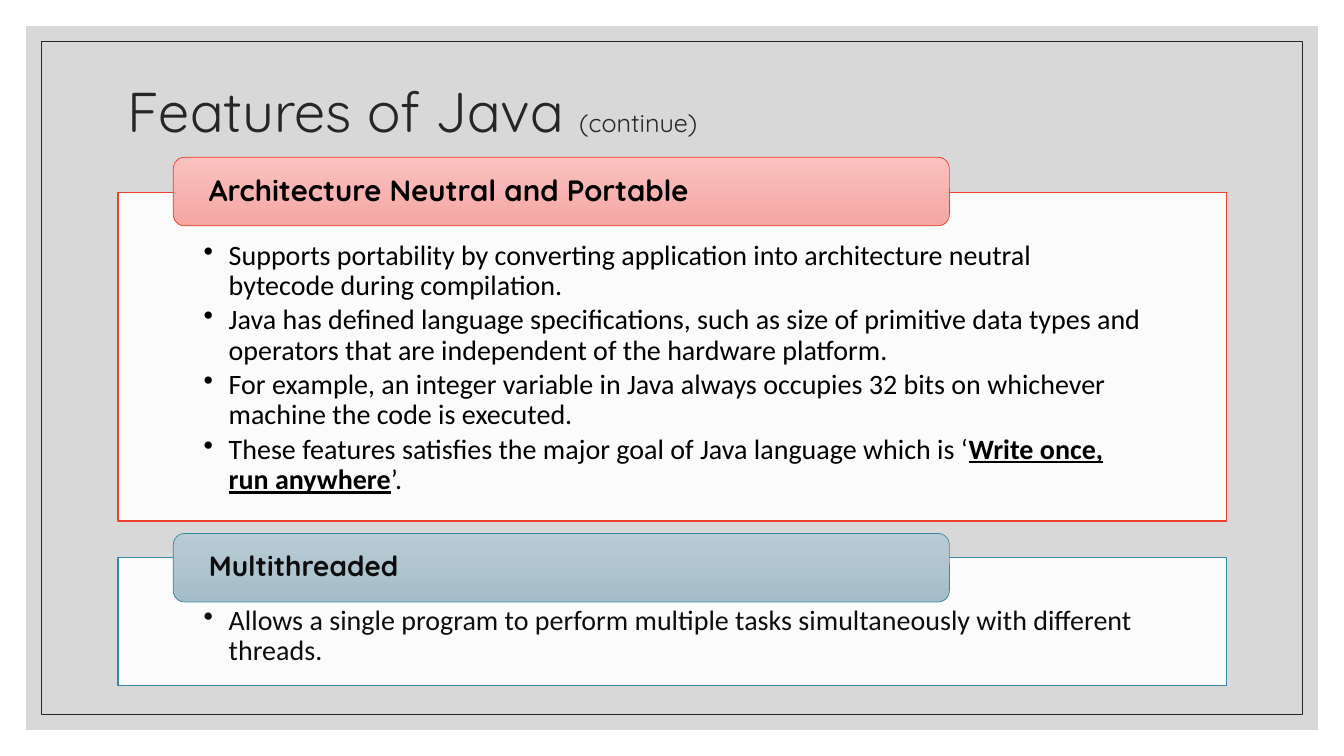
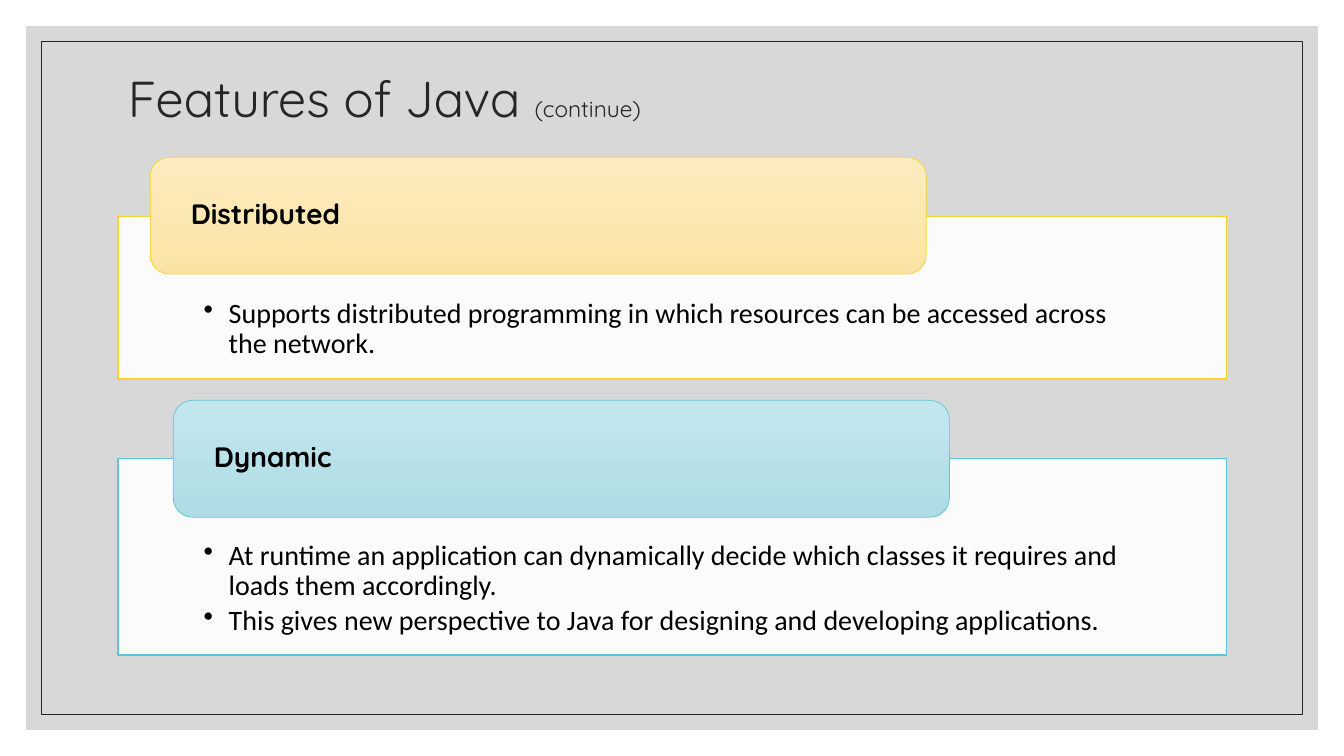
from lxml.etree import SubElement
from pptx import Presentation
from pptx.dml.color import RGBColor
from pptx.enum.shapes import MSO_SHAPE
from pptx.enum.text import MSO_ANCHOR, MSO_AUTO_SIZE, PP_ALIGN
from pptx.oxml.ns import qn
from pptx.util import Pt

BLACK = RGBColor(0x00, 0x00, 0x00)
NEAR_BLACK = RGBColor(0x0D, 0x0D, 0x0D)
DARK = RGBColor(0x26, 0x26, 0x26)
GRAY = RGBColor(0xBF, 0xBF, 0xBF)
WHITE = RGBColor(0xFF, 0xFF, 0xFF)
# line, gradient top, gradient bottom
RED = RGBColor(0xF0, 0x3F, 0x2B), RGBColor(0xFA, 0xC1, 0xBF), RGBColor(0xF5, 0xA7, 0xA4)
BLUE = RGBColor(0x34, 0x88, 0xA0), RGBColor(0xB9, 0xCC, 0xD5), RGBColor(0xA5, 0xBD, 0xC8)
YELLOW = RGBColor(0xF8, 0xD2, 0x2F), RGBColor(0xFD, 0xEC, 0xC0), RGBColor(0xFA, 0xE3, 0xA4)
TEAL = RGBColor(0x5C, 0xC6, 0xD6), RGBColor(0xC4, 0xE7, 0xEE), RGBColor(0xAD, 0xDC, 0xE5)

HEAD_FONT, BODY_FONT = "Quicksand", "Calibri"
WIDTH, HEIGHT = 960, 540
LEFT, PANEL_WIDTH = 84.2, 792
TAB_WIDTH, TAB_TOP = 554.4, 112.3

SLIDES = [
    {"title_size": 40, "small_size": 18, "title_height": 62.6,
     "tab_height": 49, "tab_inset": 23, "body_inset": 34.6,
     "features": [
         {"name": "Architecture Neutral and Portable", "name_size": 21,
          "colors": RED, "ink": BLACK, "tab": (123.8, TAB_TOP), "panel": (137.5, 234.7),
          "bullets": [
              ["Supports portability by converting application into architecture neutral "
               "bytecode during compilation."],
              ["Java has defined language specifications, such as size of primitive data "
               "types and operators that are independent of the hardware platform."],
              ["For example, an integer variable in Java always occupies 32 bits on "
               "whichever machine the code is executed."],
              ["These features satisfies the major goal of Java language which is ‘",
               "Write once, run anywhere", "’."]]},
         {"name": "Multithreaded", "name_size": 20,
          "colors": BLUE, "ink": NEAR_BLACK, "tab": (123.8, 381), "panel": (398.2, 91.4),
          "bullets": [
              ["Allows a single program to perform multiple tasks simultaneously with "
               "different threads."]]}]},
    {"title_size": 36, "small_size": 16.2, "title_height": 44,
     "tab_height": 83.5, "tab_inset": 25, "body_inset": 59,
     "features": [
         {"name": "Distributed", "name_size": 20,
          "colors": YELLOW, "ink": BLACK, "tab": (107.3, TAB_TOP), "panel": (154.8, 115.9),
          "bullets": [
              ["Supports distributed programming in which resources can be accessed "
               "across the network."]]},
         {"name": "Dynamic", "name_size": 20,
          "colors": TEAL, "ink": BLACK, "tab": (123.8, 286), "panel": (327.6, 140.4),
          "bullets": [
              ["At runtime an application can dynamically decide which classes it "
               "requires and loads them accordingly."],
              ["This gives new perspective to Java for designing and developing "
               "applications."]]}]},
]


def add_text(p, text, size, color, font=BODY_FONT, bold=False, underline=False):
    p.alignment = PP_ALIGN.LEFT
    p.line_spacing = 0.9
    r = p.add_run()
    r.text = text
    r.font.size = Pt(size)
    r.font.name = font
    r.font.color.rgb = color
    r.font.bold = bold
    r.font.underline = underline


def add_box(s, kind, box, line, line_width, fill=None, gradient=None, opacity=100,
            inset=(0, 0, 0, 0)):
    """Add a flat shape; box and inset are in points, inset as left, top, right, bottom."""
    sp = s.shapes.add_shape(kind, *[Pt(v) for v in box])
    sp.shadow.inherit = False
    if gradient:
        sp.fill.gradient()
        sp.fill.gradient_angle = 270
        for stop, color in zip(sp.fill.gradient_stops, gradient):
            stop.color.rgb = color
    elif fill is None:
        sp.fill.background()
    else:
        sp.fill.solid()
        sp.fill.fore_color.rgb = fill
        clr = sp._element.spPr.find(qn("a:solidFill")).find(qn("a:srgbClr"))
        SubElement(clr, qn("a:alpha")).set("val", str(opacity * 1000))
    if line is None:
        sp.line.fill.background()
    else:
        sp.line.color.rgb = line
        sp.line.width = Pt(line_width)
    tf = sp.text_frame
    tf.word_wrap = True
    tf.margin_left, tf.margin_top, tf.margin_right, tf.margin_bottom = [Pt(v) for v in inset]
    return sp


prs = Presentation()
prs.slide_width, prs.slide_height = Pt(WIDTH), Pt(HEIGHT)
layout = prs.slide_layouts[5]

for index, page in enumerate(SLIDES):
    s = prs.slides.add_slide(layout)

    # The backdrop is drawn once and moved into the shared layout.
    if index == 0:
        for z, (margin, line, fill) in enumerate([(18.7, None, GRAY), (29.5, DARK, None)]):
            box = (margin, margin, WIDTH - 2 * margin, HEIGHT - 2 * margin)
            sp = add_box(s, MSO_SHAPE.RECTANGLE, box, line, 0.5, fill, opacity=60)
            layout.shapes._spTree.insert(2 + z, sp._element)

    title = s.shapes.title
    title.left, title.top = Pt(LEFT), Pt(50.4)
    title.width, title.height = Pt(PANEL_WIDTH), Pt(page["title_height"])
    tf = title.text_frame
    tf.auto_size = MSO_AUTO_SIZE.NONE
    tf.vertical_anchor = MSO_ANCHOR.MIDDLE
    p = tf.paragraphs[0]
    add_text(p, "Features of Java ", page["title_size"], DARK, font=HEAD_FONT)
    add_text(p, "(continue)", page["small_size"], DARK, font=HEAD_FONT)

    for feature in page["features"]:
        line, *gradient = feature["colors"]
        top, height = feature["panel"]
        panel = add_box(s, MSO_SHAPE.RECTANGLE, (LEFT, top, PANEL_WIDTH, height), line, 1,
                        WHITE, opacity=90, inset=(61.2, page["body_inset"], 61.2, 11.5))
        tf = panel.text_frame
        tf.vertical_anchor = MSO_ANCHOR.TOP
        for i, bullet in enumerate(feature["bullets"]):
            p = tf.paragraphs[0] if i == 0 else tf.add_paragraph()
            pPr = p._p.get_or_add_pPr()
            pPr.set("marL", str(Pt(18)))
            pPr.set("indent", str(Pt(-18)))
            SubElement(pPr, qn("a:buChar")).set("char", "•")
            p.space_after = Pt(3)
            for j, text in enumerate(bullet):
                add_text(p, text, 20, feature["ink"], bold=j == 1, underline=j == 1)

        inset = page["tab_inset"]
        tab = add_box(s, MSO_SHAPE.ROUNDED_RECTANGLE,
                      (*feature["tab"], TAB_WIDTH, page["tab_height"]), line, 0.5,
                      gradient=gradient, inset=(inset, 0, inset, 0))
        tab.text_frame.vertical_anchor = MSO_ANCHOR.MIDDLE
        add_text(tab.text_frame.paragraphs[0], feature["name"], feature["name_size"],
                 feature["ink"], font=HEAD_FONT, bold=True)

prs.save("out.pptx")
